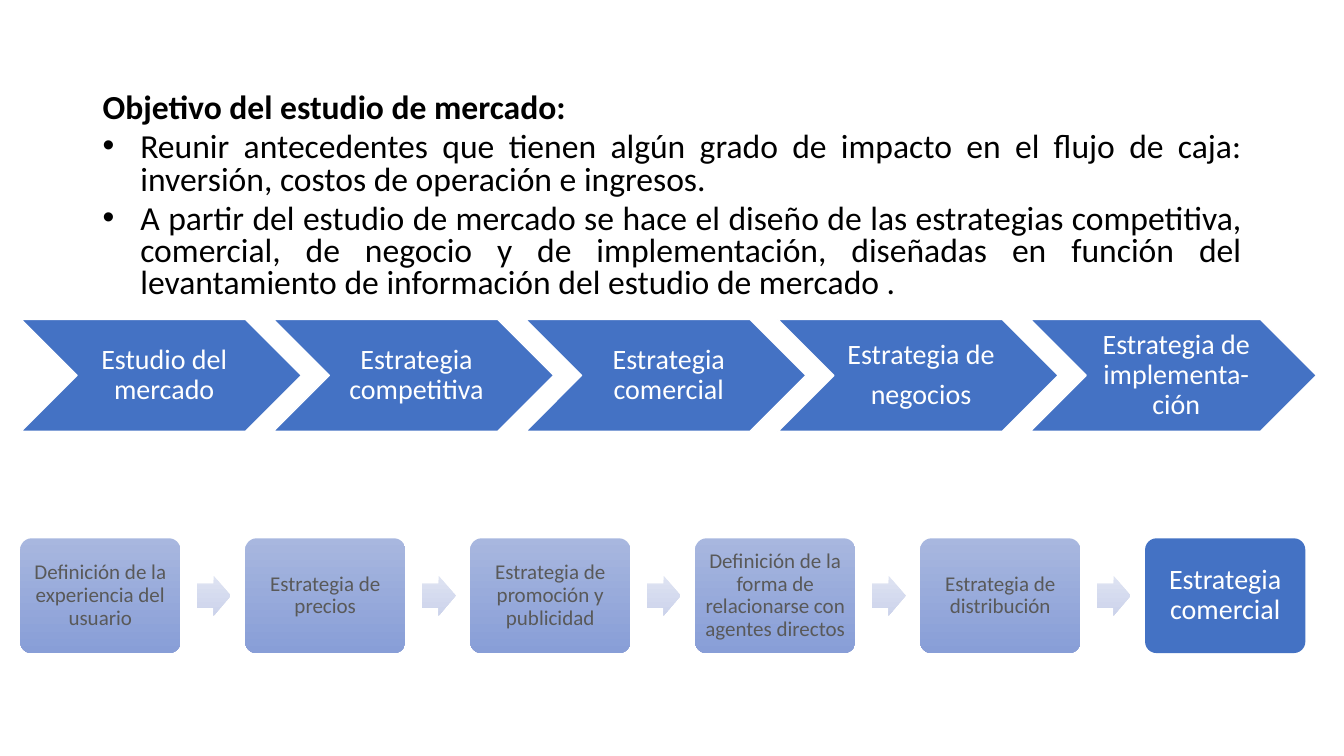
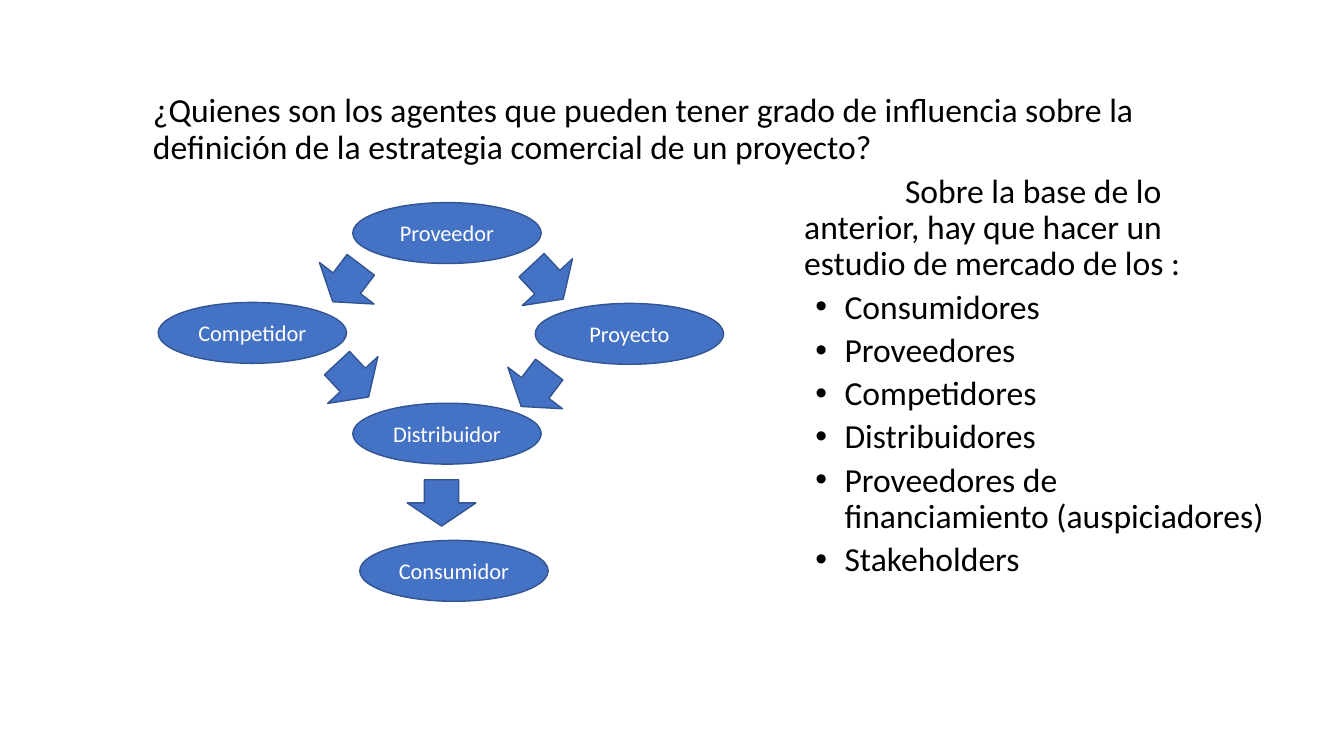
import pptx
import pptx.util
import pptx.dml.color
import pptx.enum.shapes
import pptx.enum.text
import lxml.etree
import pptx.oxml.ns

Pt = pptx.util.Pt
MSO = pptx.enum.shapes.MSO_SHAPE
ALIGN = pptx.enum.text.PP_ALIGN
ANCHOR = pptx.enum.text.MSO_ANCHOR

FONT = "Calibri"
BLUE, EDGE, WHITE, BLACK, GREY = "4472C4", "325491", "FFFFFF", "000000", "595959"
STEP_FILL = ("A8B7DF", "889ED7")
ARROW_FILL = ("DEE3F2", "CCD3EB")


def rgb(value):
    return pptx.dml.color.RGBColor.from_string(value)


def write(tf, text, size=24, color=BLACK, bold=False, align=ALIGN.LEFT, spacing=1.0,
          before=0, after=0, left=0, first=0, bullet=False):
    p = tf.paragraphs[0]
    if p.runs:
        p = tf.add_paragraph()
    p.alignment, p.line_spacing = align, spacing
    p.space_before, p.space_after = Pt(before), Pt(after)
    pPr = p._p.get_or_add_pPr()
    pPr.set("marL", str(Pt(left)))
    pPr.set("indent", str(Pt(first)))
    if bullet:
        qn = pptx.oxml.ns.qn
        lxml.etree.SubElement(pPr, qn("a:buFont")).set("typeface", "Arial")
        lxml.etree.SubElement(pPr, qn("a:buChar")).set("char", "•")
    r = p.add_run()
    r.text = text
    r.font.name, r.font.size, r.font.bold = FONT, Pt(size), bold
    r.font.color.rgb = rgb(color)


def add_box(s, x, y, w, h):
    tf = s.shapes.add_textbox(Pt(x), Pt(y), Pt(w), Pt(h)).text_frame
    tf.word_wrap = True
    return tf


def add_shape(s, kind, x, y, w, h, fill=BLUE, line=None, rotation=0):
    sp = s.shapes.add_shape(kind, Pt(x), Pt(y), Pt(w), Pt(h))
    sp.shadow.inherit = False
    sp.rotation = rotation
    if isinstance(fill, tuple):
        sp.fill.gradient()
        sp.fill.gradient_angle = 270
        for stop, color in zip(sp.fill.gradient_stops, fill):
            stop.color.rgb = rgb(color)
    else:
        sp.fill.solid()
        sp.fill.fore_color.rgb = rgb(fill)
    if line:
        sp.line.color.rgb = rgb(line)
        sp.line.width = Pt(1)
    else:
        sp.line.fill.background()
    return sp


def label(sp, text, margins=None, **style):
    tf = sp.text_frame
    tf.word_wrap = True
    tf.vertical_anchor = ANCHOR.MIDDLE
    if margins:
        tf.margin_left, tf.margin_top, tf.margin_right, tf.margin_bottom = map(Pt, margins)
    for line in text.split("\n"):
        write(tf, line, align=ALIGN.CENTER, **style)


def add_chevrons(s, names):
    for i, name in enumerate(names):
        width = 204.4 if i == len(names) - 1 else 200.2
        sp = add_shape(s, MSO.CHEVRON, 15.1 + 180.2 * i, 228.2, width, 79.9, line=WHITE)
        label(sp, name, (6.3, 2.1, 2.1, 2.1), size=20, color=WHITE, spacing=0.9, after=7)


def add_steps(s, names):
    for i, name in enumerate(names):
        x = 14.4 + 160.7 * i
        last = i == len(names) - 1
        sp = add_shape(s, MSO.ROUNDED_RECTANGLE, x, 384.5, 114.5, 82,
                       fill=BLUE if last else STEP_FILL)
        sp.adjustments[0] = 0.1
        size, color, margin = (20, WHITE, 5.8) if last else (15, GREY, 4.3)
        label(sp, name, (margin,) * 4, size=size, color=color, spacing=0.9, after=0.35 * size)
        if not last:
            arrow = add_shape(s, MSO.RIGHT_ARROW, x + 126.1, 411.3, 24.3, 28.4, fill=ARROW_FILL)
            arrow.adjustments[0] = 0.6


def objective_slide(s):
    tf = add_box(s, 66.2, 63.4, 828, 160)
    style = dict(align=ALIGN.JUSTIFY, spacing=0.8, before=5)
    write(tf, "Objetivo del estudio de mercado:", bold=True, **style)
    for text in (
        "Reunir antecedentes que tienen algún grado de impacto en el flujo de caja: "
        "inversión, costos de operación e ingresos.",
        "A partir del estudio de mercado se hace el diseño de las estrategias competitiva, "
        "comercial, de negocio y de implementación, diseñadas en función del "
        "levantamiento de información del estudio de mercado .",
    ):
        write(tf, text, left=27, first=-27, bullet=True, **style)
    add_chevrons(s, ["Estudio del mercado", "Estrategia competitiva", "Estrategia comercial",
                     "Estrategia de\nnegocios", "Estrategia de implementa-ción"])
    add_steps(s, ["Definición de la experiencia del usuario", "Estrategia de precios",
                  "Estrategia de promoción y publicidad",
                  "Definición de la forma de relacionarse con agentes directos",
                  "Estrategia de distribución", "Estrategia comercial"])


def agents_slide(s):
    style = dict(spacing=0.9, before=5)
    write(add_box(s, 102.2, 63.4, 810, 60),
          "¿Quienes son los agentes que pueden tener grado de influencia sobre la "
          "definición de la estrategia comercial de un proyecto?", **style)
    tf = add_box(s, 567.4, 121, 344.8, 300)
    write(tf, "Sobre la base de lo anterior, hay que hacer un estudio de mercado de los :",
          first=72, **style)
    for text in ("Consumidores", "Proveedores", "Competidores", "Distribuidores",
                 "Proveedores de financiamiento (auspiciadores)", "Stakeholders"):
        write(tf, text, left=28.8, first=-20.9, bullet=True, **style)
    for name, x, y in (("Proveedor", 252, 144.7), ("Consumidor", 257, 386),
                       ("Distribuidor", 252, 288), ("Competidor", 113, 216),
                       ("Proyecto", 382.3, 216.7)):
        label(add_shape(s, MSO.OVAL, x, y, 134.6, 43.5, line=EDGE), name, size=16, color=WHITE)
    for x, y, rotation in ((223.2, 185.8, 37.2), (357.8, 260.6, 37.2), (366.5, 185, 317),
                           (227.5, 254.9, 317), (290.9, 342.7, 0)):
        add_shape(s, MSO.DOWN_ARROW, x, y, 49, 33.1, line=EDGE, rotation=rotation)


def main():
    prs = pptx.Presentation()
    prs.slide_width, prs.slide_height = Pt(960), Pt(540)
    for build in (objective_slide, agents_slide):
        build(prs.slides.add_slide(prs.slide_layouts[6]))
    prs.save("out.pptx")


main()
